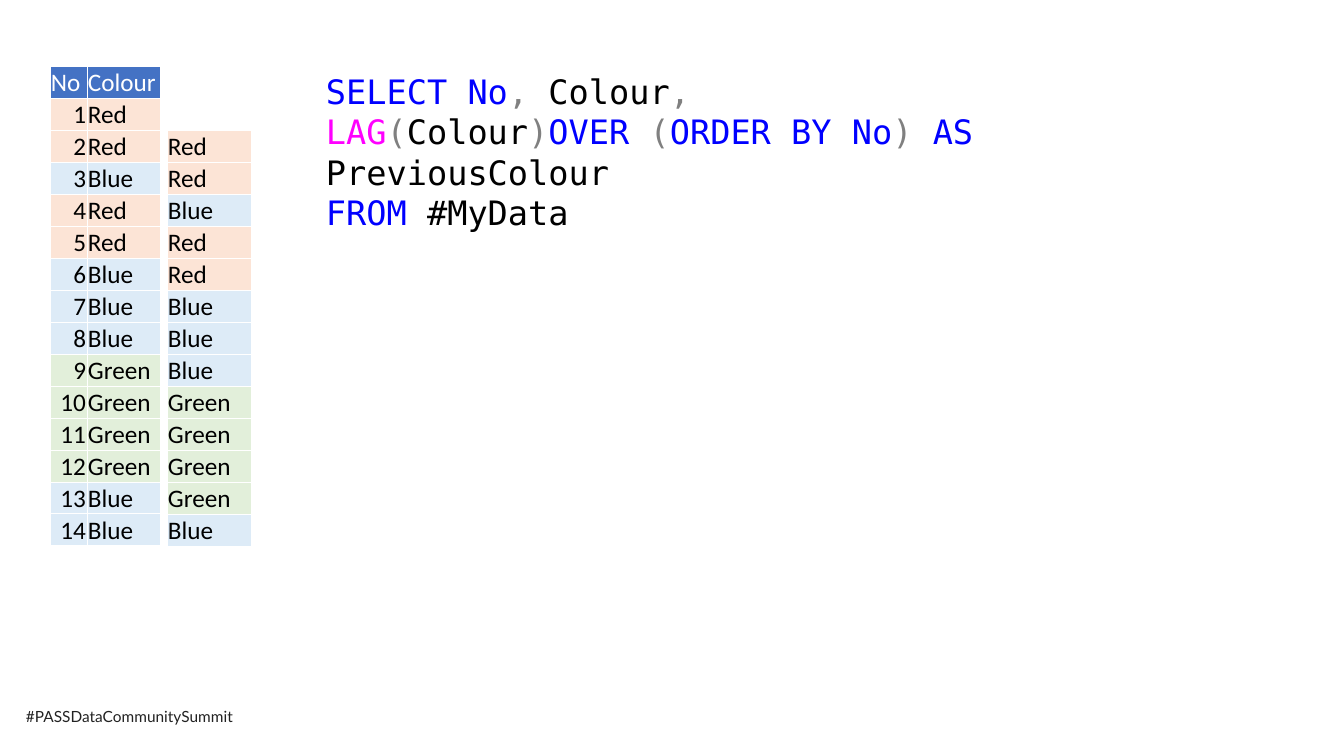
from dataclasses import dataclass

from pptx import Presentation
from pptx import util as u
from pptx.dml.color import RGBColor
from pptx.enum import text
from pptx.oxml import parse_xml
from pptx.oxml.ns import nsdecls

PX = 12192000 / 1344


@dataclass(frozen=True)
class Theme:
    table_font: str = "Calibri"
    code_font: str = "DejaVu Sans Mono"
    footer_font: str = "Lato"
    table_size: int = 18
    code_size: int = 24
    footer_size: int = 11
    header: str = "4472C4"
    white: str = "FFFFFF"
    black: str = "000000"
    footer: str = "222222"
    keyword: str = "0000FF"
    function: str = "FF00FF"
    symbol: str = "808080"


THEME = Theme()
ROW_FILLS = {"Red": "FCE4D6", "Blue": "DDEBF7", "Green": "E2EFDA"}
COLOURS = ["Red"] * 2 + ["Blue"] + ["Red"] * 2 + ["Blue"] * 3 + ["Green"] * 4 + ["Blue"] * 2
ROW_HEIGHT = 32

KEY, FUN, SYM, NAME = THEME.keyword, THEME.function, THEME.symbol, THEME.black
QUERY = [
    [("SELECT No", KEY), (",", SYM), (" Colour", NAME), (",", SYM)],
    [("LAG", FUN), ("(", SYM), ("Colour", NAME), (")", SYM), ("OVER ", KEY), ("(", SYM),
     ("ORDER BY No", KEY), (") ", SYM), ("AS ", KEY), ("PreviousColour", NAME)],
    [("FROM", KEY), (" #MyData", NAME)],
]


def px(length):
    return u.Emu(round(length * PX))


def style(font, name, size, colour):
    font.name = name
    font.size = u.Pt(size)
    font.color.rgb = RGBColor.from_string(colour)


def add_borders(cell):
    properties = cell._tc.get_or_add_tcPr()
    for side in ("lnL", "lnR", "lnT", "lnB"):
        properties.append(parse_xml(
            f'<a:{side} {nsdecls("a")} w="{u.Pt(0.5)}"><a:solidFill>'
            f'<a:srgbClr val="{THEME.white}"/></a:solidFill></a:{side}>'))


def fill_cell(cell, value, fill, colour):
    cell.margin_left = cell.margin_right = cell.margin_top = px(1)
    cell.margin_bottom = 0
    cell.vertical_anchor = text.MSO_ANCHOR.BOTTOM
    add_borders(cell)
    cell.fill.solid()
    cell.fill.fore_color.rgb = RGBColor.from_string(fill)
    cell.text_frame.text = value
    paragraph = cell.text_frame.paragraphs[0]
    if value.isdigit():
        paragraph.alignment = text.PP_ALIGN.RIGHT
    style(paragraph.runs[0].font, THEME.table_font, THEME.table_size, colour)


def add_colour_table(slide, left, top, widths, rows):
    """Fill each row by the colour named in its last cell; other rows are headers."""
    frame = slide.shapes.add_table(len(rows), len(widths), px(left), px(top),
                                   px(sum(widths)), px(ROW_HEIGHT * len(rows)))
    table = frame.table
    table.horz_banding = False
    for column, width in zip(table.columns, widths):
        column.width = px(width)
    for table_row, values in zip(table.rows, rows):
        table_row.height = px(ROW_HEIGHT)
        is_data = values[-1] in ROW_FILLS
        fill = ROW_FILLS.get(values[-1], THEME.header)
        for cell, value in zip(table_row.cells, values):
            fill_cell(cell, value, fill, THEME.black if is_data else THEME.white)


def add_text_lines(slide, left, top, width, height, lines, font, size, wrap):
    box = slide.shapes.add_textbox(px(left), px(top), px(width), px(height))
    frame = box.text_frame
    frame.word_wrap = wrap
    frame.auto_size = text.MSO_AUTO_SIZE.SHAPE_TO_FIT_TEXT
    for index, pieces in enumerate(lines):
        paragraph = frame.add_paragraph() if index else frame.paragraphs[0]
        for words, colour in pieces:
            run = paragraph.add_run()
            run.text = words
            style(run.font, font, size, colour)


def main():
    deck = Presentation()
    deck.slide_width, deck.slide_height = px(1344), px(756)
    slide = deck.slides.add_slide(deck.slide_layouts[6])

    add_text_lines(slide, 16, 702, 236, 29, [[("#PASSDataCommunitySummit", THEME.footer)]],
                   THEME.footer_font, THEME.footer_size, wrap=False)
    numbered = [(str(number), colour) for number, colour in enumerate(COLOURS, 1)]
    add_colour_table(slide, 50, 66, [37, 73], [("No", "Colour")] + numbered)
    previous = [(colour,) for colour in COLOURS[:-1]]
    add_colour_table(slide, 167, 66 + 2 * ROW_HEIGHT, [84], previous)
    add_text_lines(slide, 316, 66, 894, 132, QUERY,
                   THEME.code_font, THEME.code_size, wrap=True)

    deck.save("out.pptx")


if __name__ == "__main__":
    main()
